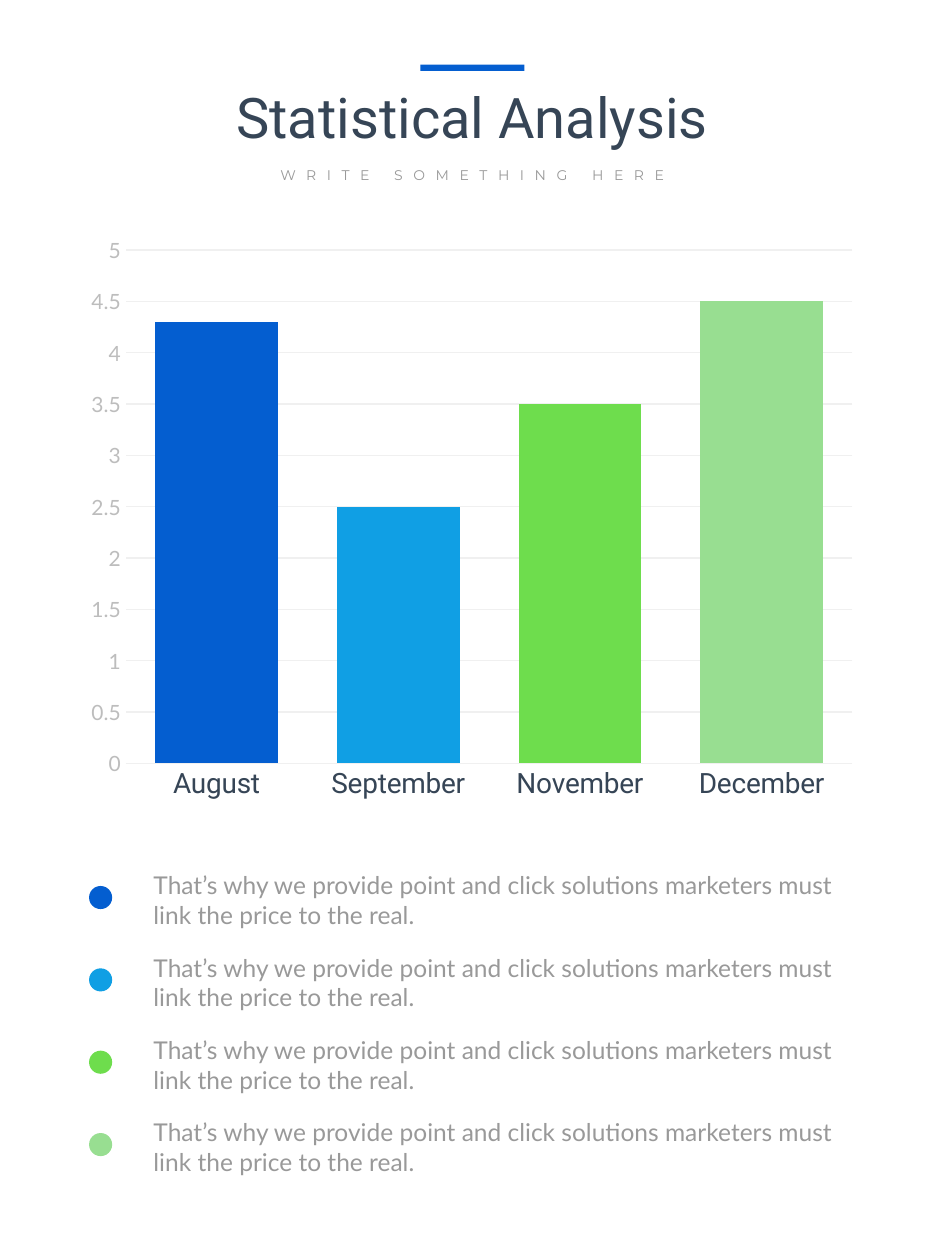
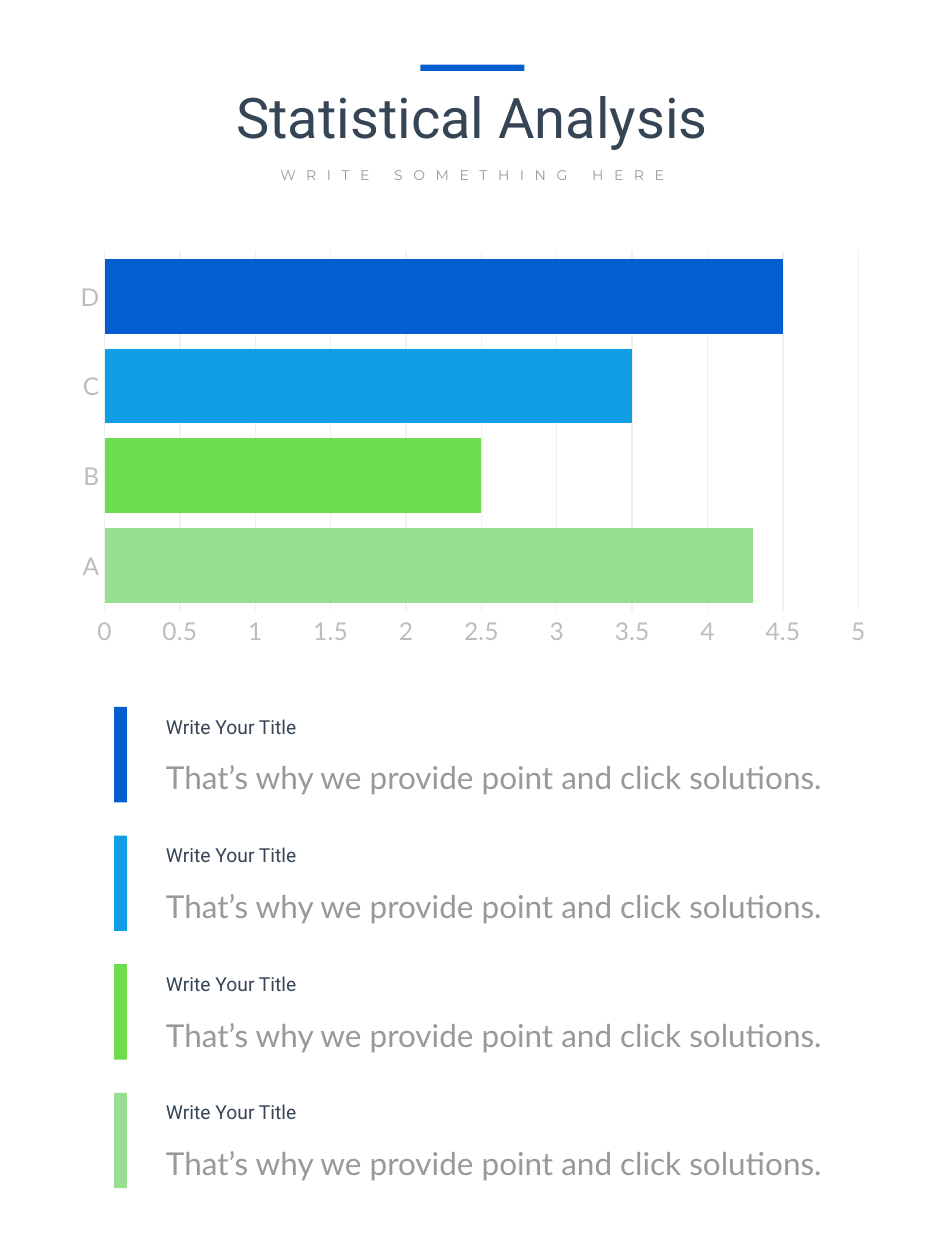
"""Build two statistics slides, a column chart and a bar chart, each with a colour key."""
from typing import NamedTuple

from pptx import Presentation
from pptx import slide as sl
from pptx import util as u
from pptx.chart import axis as ax
from pptx.chart import data as cd
from pptx.dml import color as dc
from pptx.enum import chart as ec
from pptx.enum import shapes, text
from pptx.text import text as tt

HEX = {
    "blue": "045ED0",
    "sky": "109FE4",
    "green": "6EDD4D",
    "mint": "98DE91",
    "ink": "364556",
    "grey": "999999",
    "pale": "BDBDBD",
    "grid": "F0F0F0",
    "white": "FFFFFF",
}
HUES = ["blue", "sky", "green", "mint"]
VALUES = (4.3, 2.5, 3.5, 4.5)
RECT = shapes.MSO_SHAPE.RECTANGLE
OVAL = shapes.MSO_SHAPE.OVAL


class Box(NamedTuple):
    left: float
    top: float
    width: float
    height: float

    def down(self, step: float) -> "Box":
        return self._replace(top=self.top + step)

    def sides(self) -> list[u.Pt]:
        return [u.Pt(side) for side in self]


class Style(NamedTuple):
    face: str
    size: float
    hue: str


class Label(NamedTuple):
    box: Box
    words: str
    style: Style


class Key(NamedTuple):
    pitch: float
    shape: shapes.MSO_SHAPE
    mark: Box
    labels: list[Label]


class Graph(NamedTuple):
    kind: ec.XL_CHART_TYPE
    box: Box
    names: list[str]
    hues: list[str]
    gap: int
    lap: int
    cats: Style
    nums: Style


HEAD = Label(Box(113.75, 43.25, 312.5, 46), "Statistical Analysis", Style("Roboto", 32, "ink"))
SUB = Label(Box(147, 91.5, 246, 17.25), "WRITE SOMETHING HERE", Style("Montserrat", 8, "grey"))
RULE = Box(240.25, 37, 59.5, 3.6)

COLUMNS = Graph(
    ec.XL_CHART_TYPE.COLUMN_CLUSTERED, Box(43.2, 129, 453, 334.8),
    ["August", "September", "November", "December"], HUES, 48, -27,
    Style("Roboto", 16, "ink"), Style("Lato", 12, "pale"),
)
BARS = Graph(
    ec.XL_CHART_TYPE.BAR_CLUSTERED, Box(36.7, 139, 467.3, 234.7),
    ["A", "B", "C", "D"], HUES[::-1], 20, 0,
    Style("Lato", 14, "pale"), Style("Lato", 14, "pale"),
)

DOTS = Key(47.05, OVAL, Box(50.9, 506.3, 13.2, 13.2), [
    Label(Box(80.64, 493.9, 408.2, 41),
          "That’s why we provide point and click solutions marketers must link the price to the real.",
          Style("Lato", 14, "grey")),
])
STRIPS = Key(73.5, RECT, Box(65.2, 404, 7.4, 54.5), [
    Label(Box(87.75, 429.9, 389.5, 28.8),
          "That’s why we provide point and click solutions.", Style("Lato", 18, "grey")),
    Label(Box(87.75, 404.9, 144.7, 20.9), "Write Your Title", Style("Roboto", 11, "ink")),
])


def paint(name: str) -> dc.RGBColor:
    return dc.RGBColor.from_string(HEX[name])


def dress(font: tt.Font, style: Style) -> None:
    font.name, font.size, font.bold = style.face, u.Pt(style.size), False
    font.color.rgb = paint(style.hue)


def write(frame: tt.TextFrame, label: Label, align: text.PP_ALIGN) -> None:
    frame.word_wrap = True
    frame.auto_size = text.MSO_AUTO_SIZE.SHAPE_TO_FIT_TEXT
    frame.vertical_anchor = text.MSO_ANCHOR.TOP
    para = frame.paragraphs[0]
    para.add_run().text = label.words
    para.alignment = align
    dress(para.font, label.style)


def add_label(slide: sl.Slide, label: Label, align: text.PP_ALIGN = text.PP_ALIGN.LEFT) -> tt.TextFrame:
    frame = slide.shapes.add_textbox(*label.box.sides()).text_frame
    write(frame, label, align)
    return frame


def add_mark(slide: sl.Slide, shape: shapes.MSO_SHAPE, box: Box, hue: str) -> None:
    mark = slide.shapes.add_shape(shape, *box.sides())
    mark.shadow.inherit = False
    mark.fill.solid()
    mark.fill.fore_color.rgb = paint(hue)
    mark.line.fill.background()


def add_head(slide: sl.Slide) -> None:
    title = slide.shapes.title
    title.left, title.top, title.width, title.height = HEAD.box.sides()
    write(title.text_frame, HEAD, text.PP_ALIGN.CENTER)
    frame = add_label(slide, SUB, text.PP_ALIGN.CENTER)
    frame.paragraphs[0].runs[0]._r.get_or_add_rPr().set("spc", "600")
    add_mark(slide, RECT, RULE, "blue")


def set_axis(axis: ax._BaseAxis, style: Style) -> None:
    axis.major_tick_mark = axis.minor_tick_mark = ec.XL_TICK_MARK.NONE
    dress(axis.tick_labels.font, style)


def add_graph(slide: sl.Slide, graph: Graph) -> None:
    data = cd.CategoryChartData()
    data.categories = graph.names
    data.add_series("Series 1", VALUES)
    chart = slide.shapes.add_chart(graph.kind, *graph.box.sides(), data).chart
    chart.has_legend = chart.has_title = False
    dress(chart.font, Style("Lato", graph.cats.size, "grey"))

    cats, nums = chart.category_axis, chart.value_axis
    set_axis(cats, graph.cats)
    set_axis(nums, graph.nums)
    nums.minimum_scale, nums.maximum_scale, nums.major_unit = 0, 5, 0.5
    nums.format.line.fill.background()
    cats.has_major_gridlines, nums.has_major_gridlines = False, True
    for line in (cats.format.line, nums.major_gridlines.format.line):
        line.color.rgb = paint("grid")
        line.width = u.Pt(0.75)

    plot = chart.plots[0]
    plot.gap_width, plot.overlap, plot.vary_by_categories = graph.gap, graph.lap, False
    series = plot.series[0]
    series.format.fill.solid()
    series.format.fill.fore_color.rgb = paint("blue")
    for index, hue in enumerate(graph.hues):
        fill = series.points[index].format.fill
        fill.solid()
        fill.fore_color.rgb = paint(hue)


def add_key(slide: sl.Slide, key: Key) -> None:
    for row, hue in enumerate(HUES):
        step = row * key.pitch
        add_mark(slide, key.shape, key.mark.down(step), hue)
        for label in key.labels:
            add_label(slide, label._replace(box=label.box.down(step)))


def main() -> None:
    deck = Presentation()
    deck.slide_width, deck.slide_height = u.Pt(540), u.Pt(720)
    layout = deck.slide_layouts.get_by_name("Title Only")
    for graph, key in ((COLUMNS, DOTS), (BARS, STRIPS)):
        slide = deck.slides.add_slide(layout)
        slide.background.fill.solid()
        slide.background.fill.fore_color.rgb = paint("white")
        add_head(slide)
        add_graph(slide, graph)
        add_key(slide, key)
    deck.save("out.pptx")


if __name__ == "__main__":
    main()
